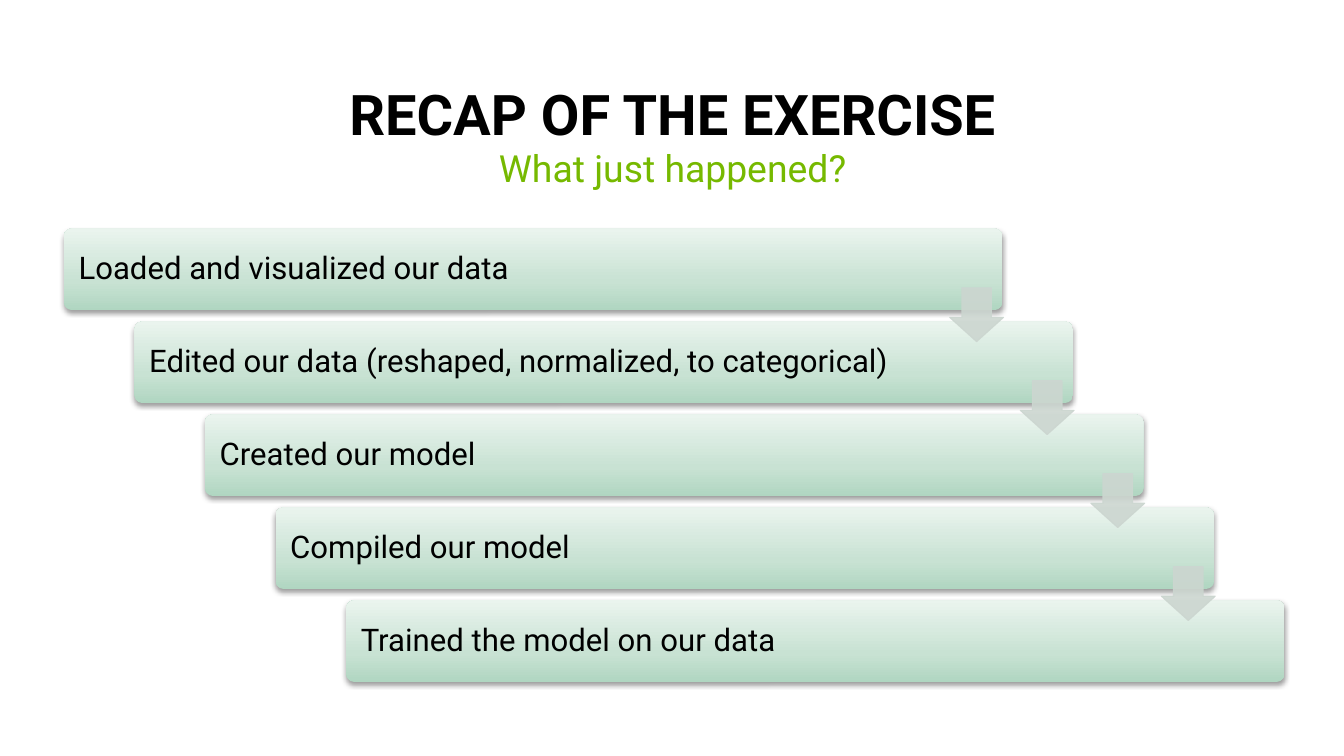
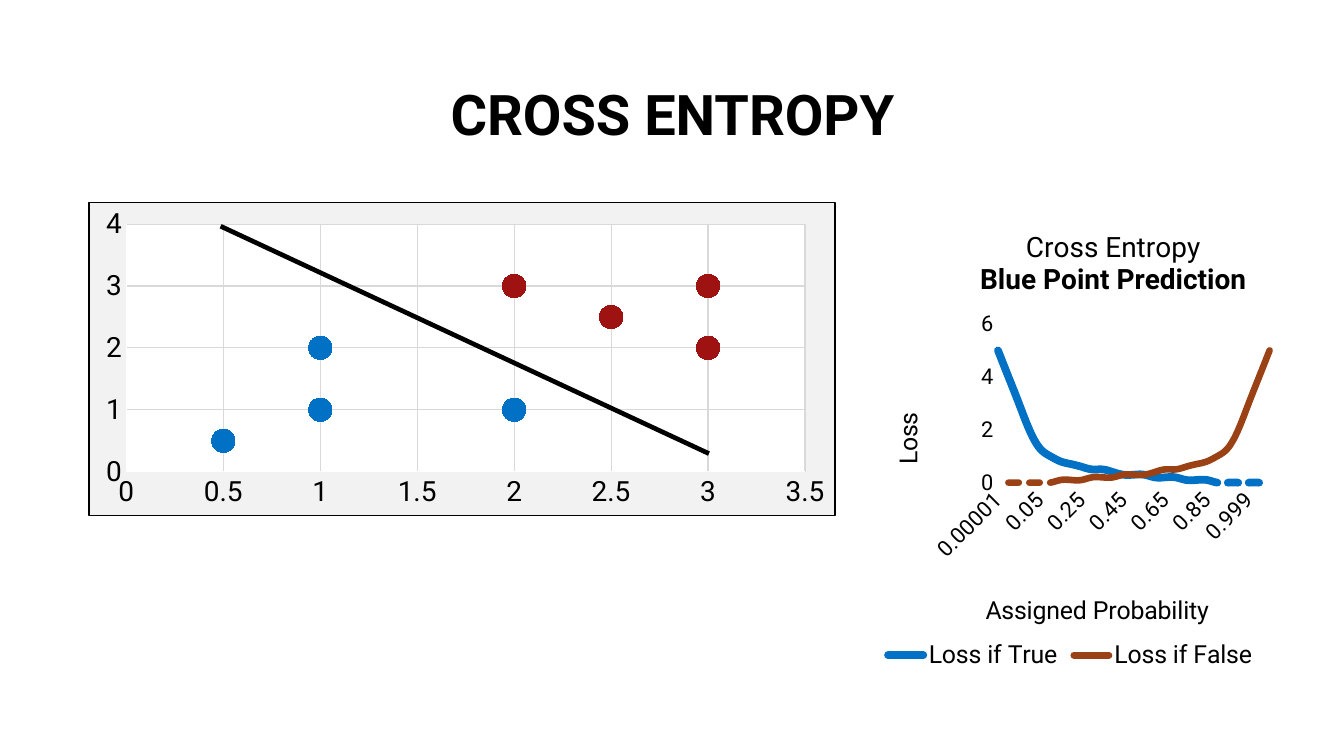
from pptx import Presentation
from pptx import util as u
from pptx.chart import data
from pptx.dml.color import RGBColor
from pptx.enum import chart as ch, shapes, text
from pptx.oxml import ns, parse_xml

BLACK, WHITE, GREEN = "000000", "FFFFFF", "76B900"
BLUE, RED, BROWN = "0071C5", "9E1212", "9A4216"
ARROW, GRID, PANEL = "CCD6D0", "D9D9D9", "F2F2F2"
A, C = ns.nsdecls("a"), ns.nsdecls("c", "a")


def paint(fill, colour):
    fill.solid()
    fill.fore_color.rgb = RGBColor.from_string(colour)


def style(font, size, colour=BLACK, bold=False):
    look = {"name": "Roboto", "size": u.Pt(size), "bold": bold}
    for key, value in look.items():
        setattr(font, key, value)
    paint(font.fill, colour)


deck = Presentation()
deck.slide_width, deck.slide_height = u.Inches(12), u.Inches(6.75)
recap = deck.slides.add_slide(deck.slide_layouts[1])
entropy = deck.slides.add_slide(deck.slide_layouts[5])

headings = [
    (recap.shapes.title, "RECAP OF THE EXERCISE", 0.72, 0.65, 36, BLACK, True, text.MSO_ANCHOR.BOTTOM),
    (recap.placeholders[1], "What just happened?", 1.29, 0.57, 24, GREEN, False, text.MSO_ANCHOR.TOP),
    (entropy.shapes.title, "CROSS ENTROPY", 0.72, 0.65, 36, BLACK, True, text.MSO_ANCHOR.BOTTOM),
]
for heading, words, top, height, size, colour, bold, anchor in headings:
    heading.left, heading.top = u.Inches(0.55), u.Inches(top)
    heading.width, heading.height = u.Inches(10.91), u.Inches(height)
    frame = heading.text_frame
    frame.text = words
    frame.vertical_anchor = anchor
    frame.auto_size = text.MSO_AUTO_SIZE.NONE
    line = frame.paragraphs[0]
    props = line._p.get_or_add_pPr()
    props.set("marL", "0")
    props.set("indent", "0")
    props.append(parse_xml(f"<a:buNone {A}/>"))
    layout = {"alignment": text.PP_ALIGN.CENTER, "line_spacing": 0.9, "space_before": u.Pt(0)}
    for key, value in layout.items():
        setattr(line, key, value)
    style(line.runs[0].font, size, colour, bold)

steps = [
    "Loaded and visualized our data",
    "Edited our data (reshaped, normalized, to categorical)",
    "Created our model",
    "Compiled our model",
    "Trained the model on our data",
]
LEFT, TOP, STEP_X, STEP_Y, BAR_W, BAR_H = 0.57, 2.04, 0.63, 0.83, 8.38, 0.73
stops = "".join(
    f'<a:gs pos="{spot}000"><a:srgbClr val="{colour}"/></a:gs>'
    for spot, colour in [(0, "B0D6C1"), (35, "C8E2D3"), (100, "EAF4EE")]
)
for i, words in enumerate(steps):
    bar = recap.shapes.add_shape(
        shapes.MSO_SHAPE.ROUNDED_RECTANGLE,
        u.Inches(LEFT + i * STEP_X), u.Inches(TOP + i * STEP_Y), u.Inches(BAR_W), u.Inches(BAR_H),
    )
    bar.adjustments[0] = 0.1
    bar._element.spPr.append(parse_xml(
        f'<a:gradFill {A} rotWithShape="1"><a:gsLst>{stops}</a:gsLst><a:lin ang="16200000" scaled="0"/></a:gradFill>'
    ))
    bar.line.fill.background()
    bar._element.spPr.append(parse_xml(
        f'<a:effectLst {A}><a:outerShdw blurRad="{u.Pt(3.1)}" dist="{u.Pt(1.6)}" dir="5400000" rotWithShape="0">'
        f'<a:srgbClr val="{BLACK}"><a:alpha val="38000"/></a:srgbClr></a:outerShdw></a:effectLst>'
    ))
    frame = bar.text_frame
    frame.text = words
    frame.margin_left = u.Inches(0.11)
    frame.word_wrap = True
    frame.vertical_anchor = text.MSO_ANCHOR.MIDDLE
    frame.paragraphs[0].alignment = text.PP_ALIGN.LEFT
    frame.paragraphs[0].line_spacing = 0.9
    style(frame.paragraphs[0].runs[0].font, 20)

for i in range(len(steps) - 1):
    arrow = recap.shapes.add_shape(
        shapes.MSO_SHAPE.DOWN_ARROW,
        u.Inches(LEFT + BAR_W - 0.47 + i * STEP_X), u.Inches(TOP + 0.53 + i * STEP_Y),
        u.Inches(0.48), u.Inches(0.48),
    )
    arrow.adjustments[0], arrow.adjustments[1] = 0.55, 0.45
    arrow.shadow.inherit = False
    arrow.line.width = u.Pt(0.75)
    for fill in (arrow.fill, arrow.line.fill):
        paint(fill, ARROW)
    for tint in arrow._element.spPr.iter(ns.qn("a:srgbClr")):
        tint.append(parse_xml(f'<a:alpha {A} val="90000"/>'))

losses = data.CategoryChartData()
losses.categories = (
    ["0.00001", "0.0001", "0.001", "0.01"]
    + [f"{n / 100:g}" for n in range(5, 100, 5)]
    + ["0.99", "0.999", "0.9999", "0.99999"]
)
loss_if_true = [5, 4, 3, 2, 1.3, 1, 0.8, 0.7, 0.6, 0.5, 0.5, 0.4, 0.3, 0.3,
                0.3, 0.2, 0.2, 0.2, 0.1, 0.1, 0.1, 0, 0, 0, 0, 0, 0]
losses.add_series("Loss if True", loss_if_true)
losses.add_series("Loss if False", loss_if_true[::-1])
loss_chart = entropy.shapes.add_chart(
    ch.XL_CHART_TYPE.LINE, u.Inches(7.66), u.Inches(1.85), u.Inches(3.79), u.Inches(4.17), losses
).chart

points = data.XyChartData()
for name, pairs in {
    "Series 1": [(1, 1), (1, 2), (2, 1), (0.5, 0.5)],
    "Series 2": [(2, 3), (3, 3), (3, 2), (2.5, 2.5)],
}.items():
    group = points.add_series(name)
    for x, y in pairs:
        group.add_data_point(x, y)
point_chart = entropy.shapes.add_chart(
    ch.XL_CHART_TYPE.XY_SCATTER, u.Inches(0.79), u.Inches(1.8), u.Inches(6.67), u.Inches(2.81), points
).chart

for chart, size in ((loss_chart, 10), (point_chart, 18)):
    style(chart.font, size)
    chart.plots[0].vary_by_categories = False

for axis, size, top, major, grid in (
    (loss_chart.category_axis, 14, None, None, None),
    (loss_chart.value_axis, 14, 6, 2, WHITE),
    (point_chart.category_axis, 18, 3.5, 0.5, GRID),
    (point_chart.value_axis, 18, 4, 1, GRID),
):
    axis.major_tick_mark = axis.minor_tick_mark = ch.XL_TICK_MARK.NONE
    style(axis.tick_labels.font, size)
    axis.format.line.width = u.Pt(0.75)
    paint(axis.format.line.fill, WHITE)
    axis.has_major_gridlines = grid is not None
    if grid:
        axis.minimum_scale, axis.maximum_scale, axis.major_unit = 0, top, major
        axis.major_gridlines.format.line.width = u.Pt(0.75)
        paint(axis.major_gridlines.format.line.fill, grid)
loss_chart.value_axis.format.line.fill.background()

probability = loss_chart.category_axis._element
probability.find(ns.qn("c:txPr")).find(ns.qn("a:bodyPr")).set("rot", "-2700000")
probability.find(ns.qn("c:noMultiLvlLbl")).addprevious(parse_xml(f'<c:tickLblSkip {C} val="4"/>'))
loss_axis = loss_chart.value_axis._element
for crossing in loss_axis.findall(ns.qn("c:crossBetween")):
    loss_axis.remove(crossing)
loss_axis.find(ns.qn("c:crosses")).addnext(parse_xml(f'<c:crossBetween {C} val="midCat"/>'))

for curve, colour, width in zip(loss_chart.plots[0].series, (BLUE, BROWN), (5, 4.25)):
    curve.smooth = True
    curve.marker.style = ch.XL_MARKER_STYLE.NONE
    curve.format.line.width = u.Pt(width)
    paint(curve.format.line.fill, colour)
    curve._element.find(ns.qn("c:spPr")).find(ns.qn("a:ln")).set("cap", "rnd")

for cluster, colour in zip(point_chart.plots[0].series, (BLUE, RED)):
    cluster.format.line.fill.background()
    cluster.marker.style = ch.XL_MARKER_STYLE.CIRCLE
    cluster.marker.size = 15
    paint(cluster.marker.format.fill, colour)
    paint(cluster.marker.format.line.fill, colour)

loss_chart.has_legend = True
loss_chart.legend.position = ch.XL_LEGEND_POSITION.BOTTOM
loss_chart.legend.include_in_layout = False
style(loss_chart.legend.font, 16)
point_chart.has_legend = point_chart.has_title = False

chart_title = loss_chart.chart_title
probability_title = loss_chart.category_axis.axis_title
loss_title = loss_chart.value_axis.axis_title
for label, lines, size in (
    (chart_title, [("Cross Entropy", False), ("Blue Point Prediction", True)], 18),
    (probability_title, [("Assigned Probability", False)], 16),
    (loss_title, [("Loss", False)], 16),
):
    frame = label.text_frame
    frame.text = "\n".join(words for words, bold in lines)
    for line, (words, bold) in zip(frame.paragraphs, lines):
        style(line.runs[0].font, size, BLACK, bold)
turn = loss_title.text_frame._txBody.find(ns.qn("a:bodyPr"))
turn.set("rot", "-5400000")
turn.set("vert", "horz")

loss_area = loss_chart.plots[0]._element.getparent()
point_area = point_chart.plots[0]._element.getparent()
for part, spots in (
    (chart_title._element, {"x": 0.28, "y": 0.04}),
    (probability_title._element, {"x": 0.29, "y": 0.82}),
    (loss_title._element, {"x": 0.07, "y": 0.43}),
    (loss_area, {"x": 0.33, "y": 0.25, "w": 0.64, "h": 0.34}),
    (point_area, {"x": 0.05, "y": 0.07, "w": 0.91, "h": 0.79}),
):
    for old in part.findall(ns.qn("c:layout")):
        part.remove(old)
    inner = '<c:layoutTarget val="inner"/>' if "w" in spots else ""
    modes = "".join(f'<c:{key}Mode val="edge"/>' for key in "xy")
    sizes = "".join(f'<c:{key} val="{value}"/>' for key, value in spots.items())
    position = 0 if part.find(ns.qn("c:tx")) is None else 1
    part.insert(position, parse_xml(
        f"<c:layout {C}><c:manualLayout>{inner}{modes}{sizes}</c:manualLayout></c:layout>"
    ))

backdrop = (
    "<c:spPr {0}><a:solidFill><a:srgbClr val='{1}'/></a:solidFill>"
    "<a:ln w='9525'>{2}</a:ln></c:spPr>"
)
border = f"<a:solidFill><a:srgbClr val='{BLACK}'/></a:solidFill>"
point_area.append(parse_xml(backdrop.format(C, WHITE, "<a:noFill/>")))
point_chart._chartSpace.find(ns.qn("c:txPr")).addprevious(parse_xml(backdrop.format(C, PANEL, border)))

boundary = entropy.shapes.add_connector(
    shapes.MSO_CONNECTOR.STRAIGHT, u.Inches(1.97), u.Inches(2.02), u.Inches(6.33), u.Inches(4.05)
)
boundary.line.width = u.Pt(3)
paint(boundary.line.fill, BLACK)
boundary._element.spPr.append(parse_xml(f"<a:effectLst {A}/>"))

deck.save("out.pptx")
